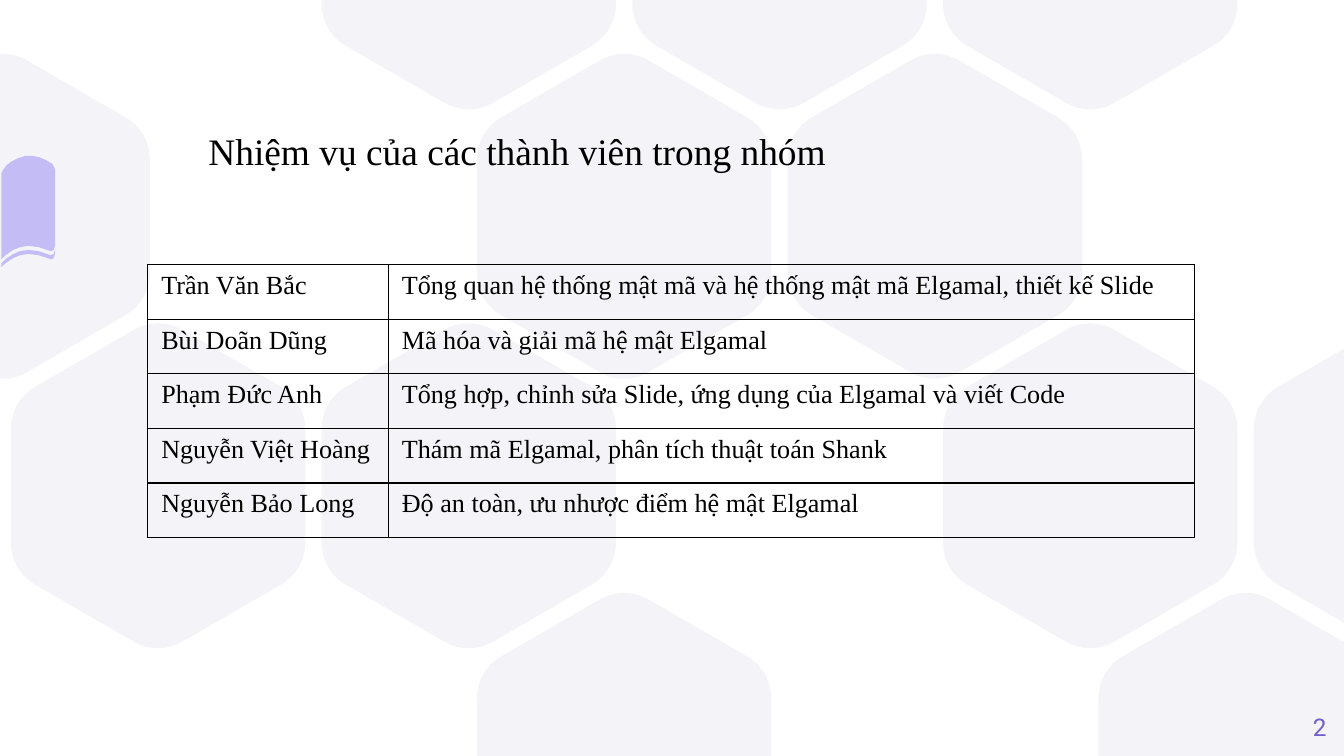
from math import cos, pi, sin, sqrt

from lxml.etree import SubElement
from pptx import Presentation
from pptx.dml.color import RGBColor
from pptx.enum.text import MSO_ANCHOR as Anchor, MSO_AUTO_SIZE as Auto, PP_ALIGN as Align
from pptx.oxml.ns import qn
from pptx.util import Inches, Pt

TITLE = "Nhiệm vụ của các thành viên trong nhóm"
TASKS = [
    ("Trần Văn Bắc", "Tổng quan hệ thống mật mã và hệ thống mật mã Elgamal, thiết kế Slide"),
    ("Bùi Doãn Dũng", "Mã hóa và giải mã hệ mật Elgamal"),
    ("Phạm Đức Anh", "Tổng hợp, chỉnh sửa Slide, ứng dụng của Elgamal và viết Code"),
    ("Nguyễn Việt Hoàng", "Thám mã Elgamal, phân tích thuật toán Shank"),
    ("Nguyễn Bảo Long", "Độ an toàn, ưu nhược điểm hệ mật Elgamal"),
]
NUMBER = "2"

WIDE = 10
HIGH = WIDE * 9 / 16
BLACK = RGBColor(0x00, 0x00, 0x00)
PALE = RGBColor(0xF4, 0xF3, 0xF8)
LILAC = RGBColor(0xC4, 0xBD, 0xF5)
VIOLET = RGBColor(0x72, 0x5D, 0xCF)
SERIF = "Times New Roman"

# Honeycomb: the half-columns that hold a cell, for each row
CELLS = {-1: (3, 5, 7), 0: (0, 4, 6), 1: (1, 3, 7, 9), 2: (4, 8)}
STEP_X, STEP_Y = 1.156, 2.005
LEFT, TOP = 0.02, 1.61
HALF, ROUND = 1.095, 0.36  # half width of a cell, corner radius

# Book: the top edge of the page, and the wave along its foot (right to left)
CROWN = [(0.01, 1.29), (0.02, 1.27), (0.05, 1.23), (0.09, 1.2), (0.13, 1.18),
         (0.19, 1.16), (0.24, 1.16), (0.29, 1.17), (0.34, 1.19), (0.39, 1.22),
         (0.41, 1.26)]
WAVE = [(0.41, 1.83), (0.4, 1.86), (0.38, 1.87), (0.35, 1.86), (0.29, 1.84),
        (0.21, 1.83), (0.15, 1.84), (0.1, 1.86), (0.07, 1.88), (0.04, 1.9),
        (0.01, 1.93)]
GAP = 0.03

COLS = (1.79, 6)
ROW = 2.03 / len(TASKS)


def hexagon(x, y):
    """Points of a rounded hexagon centred on x, y, cut at the slide's top and foot."""
    reach = (HALF - ROUND) * 2 / sqrt(3)
    points = []
    for side in range(6):
        mid = pi / 6 + side * pi / 3
        for part in range(-4, 5):
            turn = mid + part * pi / 24
            px = x + reach * cos(mid) + ROUND * cos(turn)
            py = y + reach * sin(mid) + ROUND * sin(turn)
            points.append((px, min(max(py, 0), HIGH)))
    return points


def lower(points, drop):
    return [(x, y + drop) for x, y in points]


def outline(points, color):
    first, *rest = [(Inches(x), Inches(y)) for x, y in points]
    pen = shapes.build_freeform(*first)
    pen.add_line_segments(rest, close=True)
    shape = pen.convert_to_shape()
    shape.shadow.inherit = False
    shape.fill.solid()
    shape.fill.fore_color.rgb = color
    shape.line.fill.background()


def write(para, text, size, color=BLACK, face=SERIF, align=Align.LEFT):
    para.text = text
    para.alignment = align
    font = para.font
    font.size, font.name, font.color.rgb = Pt(size), face, color


def border(cell):
    props = cell._tc.get_or_add_tcPr()
    for tag in ("a:lnL", "a:lnR", "a:lnT", "a:lnB"):
        line = SubElement(props, qn(tag), w=str(Pt(0.75)))
        fill = SubElement(line, qn("a:solidFill"))
        SubElement(fill, qn("a:srgbClr"), val=str(BLACK))


deck = Presentation()
deck.slide_width, deck.slide_height = Inches(WIDE), Inches(HIGH)
slide = deck.slides.add_slide(deck.slide_layouts[5])
shapes = slide.shapes

for row, cols in CELLS.items():
    for col in cols:
        outline(hexagon(LEFT + col * STEP_X, TOP + row * STEP_Y), PALE)

page = shapes.add_textbox(Inches(9.27), Inches(5.19), Inches(0.6), Inches(0.43))
frame = page.text_frame
frame.margin_left = frame.margin_right = frame.margin_top = frame.margin_bottom = 0
frame.word_wrap = True
frame.vertical_anchor = Anchor.MIDDLE
write(frame.paragraphs[0], NUMBER, 13, VIOLET, "Roboto", Align.RIGHT)

title = shapes.title
title.left, title.top = Inches(1.45), Inches(0.9)
title.width, title.height = Inches(4.83), Inches(0.44)
frame = title.text_frame
frame.word_wrap = False
frame.auto_size = Auto.SHAPE_TO_FIT_TEXT
frame.vertical_anchor = Anchor.TOP
write(frame.paragraphs[0], TITLE, 20)
shapes._spTree.append(title._element)  # bring in front of the honeycomb

table = shapes.add_table(len(TASKS), len(COLS), Inches(1.1), Inches(1.97),
                         Inches(sum(COLS)), Inches(ROW * len(TASKS))).table
table.first_row = table.horz_banding = False
for col, width in zip(table.columns, COLS):
    col.width = Inches(width)
for row, task in zip(table.rows, TASKS):
    row.height = Inches(ROW)
    for cell, text in zip(row.cells, task):
        write(cell.text_frame.paragraphs[0], text, 14)
        border(cell)
        cell.fill.background()

outline(lower(WAVE, GAP) + lower(WAVE[::-1], 2 * GAP), LILAC)
outline(CROWN + WAVE, LILAC)

deck.save("out.pptx")
